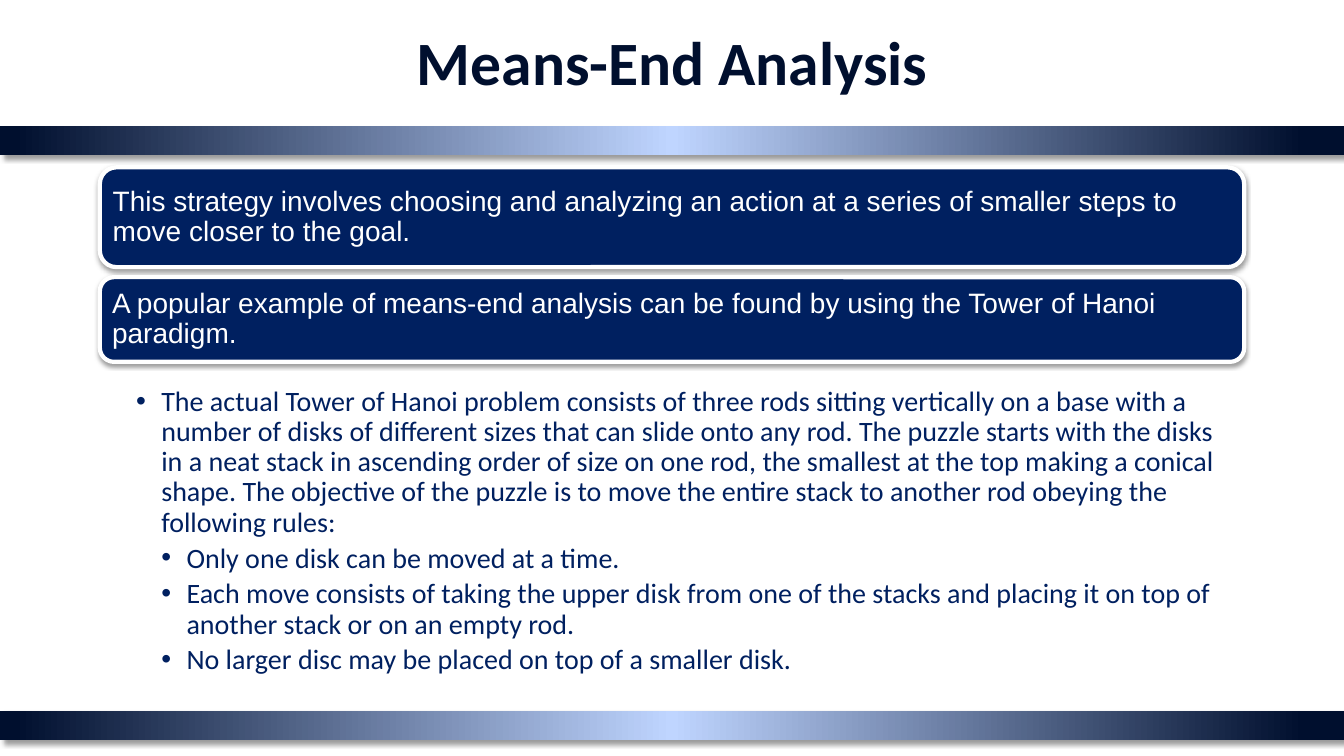
"""Build the Means-End Analysis slide."""
import pptx
import pptx.util
import pptx.dml.color
import pptx.enum.shapes
import pptx.enum.text
import pptx.oxml
import pptx.oxml.ns
import pptx.oxml.xmlchemy

TITLE = "Means-End Analysis"
CARDS = [
    (1.66, 0.99, "This strategy involves choosing and analyzing an action at a series "
                 "of smaller steps to move closer to the goal."),
    (2.75, 0.84, "A popular example of means-end analysis can be found by using the "
                 "Tower of Hanoi paradigm."),
]
BULLETS = [
    (1, "The actual Tower of Hanoi problem consists of three rods sitting vertically on a "
        "base with a number of disks of different sizes that can slide onto any rod. The "
        "puzzle starts with the disks in a neat stack in ascending order of size on one "
        "rod, the smallest at the top making a conical shape. The objective of the puzzle "
        "is to move the entire stack to another rod obeying the following rules:"),
    (2, "Only one disk can be moved at a time."),
    (2, "Each move consists of taking the upper disk from one of the stacks and placing it "
        "on top of another stack or on an empty rod."),
    (2, "No larger disc may be placed on top of a smaller disk."),
]
COLORS = {"dark": "000F2E", "light": "BFD5FF", "navy": "002060",
          "white": "FFFFFF", "shadow": "000000"}
BAND_STOPS = [(0, "dark"), (3, "dark"), (50, "light"), (99, "dark"), (100, "dark")]
BAND_TOPS = [7.05, 1.25]
BAND_H = 0.29
SLIDE_W, SLIDE_H = 13.33, 7.5
MARGIN = 0.99
CONTENT_W = SLIDE_W - 2 * MARGIN
INDENT = 0.25

Inches, Pt = pptx.util.Inches, pptx.util.Pt
SHAPE = pptx.enum.shapes.MSO_SHAPE
ALIGN = pptx.enum.text.PP_ALIGN
ANCHOR = pptx.enum.text.MSO_ANCHOR
qn = pptx.oxml.ns.qn
NS = pptx.oxml.ns.nsdecls("a")


def rgb(name):
    """Return the named colour."""
    return pptx.dml.color.RGBColor.from_string(COLORS[name])


def box(*lengths):
    """Return lengths in inches as slide units."""
    return [Inches(v) for v in lengths]


def add_shadow(sp, alpha, blur, dist, angle):
    """Give a shape an outer shadow."""
    sp.shadow.inherit = False
    sp._element.spPr.find(qn("a:effectLst")).append(pptx.oxml.parse_xml(
        f'<a:outerShdw {NS} blurRad="{Pt(blur)}" dist="{Pt(dist)}" dir="{angle * 60000}" '
        f'algn="ctr" rotWithShape="0"><a:srgbClr val="{COLORS["shadow"]}">'
        f'<a:alpha val="{alpha * 1000}"/></a:srgbClr></a:outerShdw>'))


def set_frame(tf, left, top, right, bottom, anchor):
    """Set wrapping, insets and anchor of a text frame."""
    tf.word_wrap = True
    tf.margin_left, tf.margin_top, tf.margin_right, tf.margin_bottom = box(
        left, top, right, bottom)
    tf.vertical_anchor = anchor


def write(p, text, font, size, color, bold=False):
    """Fill a paragraph and format its run."""
    p.text = text
    f = p.runs[0].font
    f.name, f.size, f.bold = font, Pt(size), bold
    f.color.rgb = rgb(color)


def add_band(slide, top):
    """Add a full-width gradient band."""
    sp = slide.shapes.add_shape(SHAPE.RECTANGLE, *box(0, top, SLIDE_W, BAND_H))
    sp.fill.gradient()
    sp.fill.gradient_angle = 180
    stops = sp._element.spPr.find(".//" + qn("a:gsLst"))
    stops.clear()
    for pos, name in BAND_STOPS:
        stops.append(pptx.oxml.parse_xml(
            f'<a:gs {NS} pos="{pos * 1000}"><a:srgbClr val="{COLORS[name]}"/></a:gs>'))
    sp.line.fill.background()
    add_shadow(sp, 40, 4, 3, 45)


def add_card(slide, top, height, text):
    """Add a rounded statement card."""
    sp = slide.shapes.add_shape(SHAPE.ROUNDED_RECTANGLE,
                                *box(MARGIN, top, CONTENT_W, height))
    sp.fill.solid()
    sp.fill.fore_color.rgb = rgb("navy")
    sp.line.color.rgb = rgb("white")
    sp.line.width = Pt(3)
    add_shadow(sp, 38, 3.1, 1.6, 90)
    set_frame(sp.text_frame, 0.08, 0.08, 0.08, 0.08, ANCHOR.MIDDLE)
    p = sp.text_frame.paragraphs[0]
    write(p, text, "Arial", 20, "white")
    p.alignment = ALIGN.LEFT
    p.line_spacing = 0.9


def add_bullets(slide):
    """Add the two-level bullet list."""
    sp = slide.shapes.add_textbox(*box(MARGIN, 3.81, CONTENT_W, 3.02))
    tf = sp.text_frame
    set_frame(tf, 0.36, 0.03, 0.16, 0.03, ANCHOR.TOP)
    for i, (level, text) in enumerate(BULLETS):
        p = tf.add_paragraph() if i else tf.paragraphs[0]
        write(p, text, "Calibri", 20, "navy")
        p.level = level
        p.line_spacing = 0.9
        p.space_after = Pt(4)
        pPr = p._p.get_or_add_pPr()
        pPr.set("marL", str(Inches(level * INDENT)))
        pPr.set("indent", str(-Inches(INDENT)))
        pPr.append(pptx.oxml.parse_xml(f'<a:buFont {NS} typeface="Arial"/>'))
        pPr.append(pptx.oxml.parse_xml(f'<a:buChar {NS} char="•"/>'))


def main():
    """Assemble and save the slide."""
    prs = pptx.Presentation()
    prs.slide_width, prs.slide_height = box(SLIDE_W, SLIDE_H)
    slide = prs.slides.add_slide(prs.slide_layouts[5])
    for top in BAND_TOPS:
        add_band(slide, top)
    title = slide.shapes.title
    title.left, title.top, title.width, title.height = box(0.67, 0.21, 12, 0.79)
    set_frame(title.text_frame, 0.1, 0.05, 0.1, 0.05, ANCHOR.MIDDLE)
    p = title.text_frame.paragraphs[0]
    write(p, TITLE, "Calibri", 44, "dark", bold=True)
    p.alignment = ALIGN.CENTER
    for card in CARDS:
        add_card(slide, *card)
    add_bullets(slide)
    prs.save("out.pptx")


if __name__ == "__main__":
    main()
